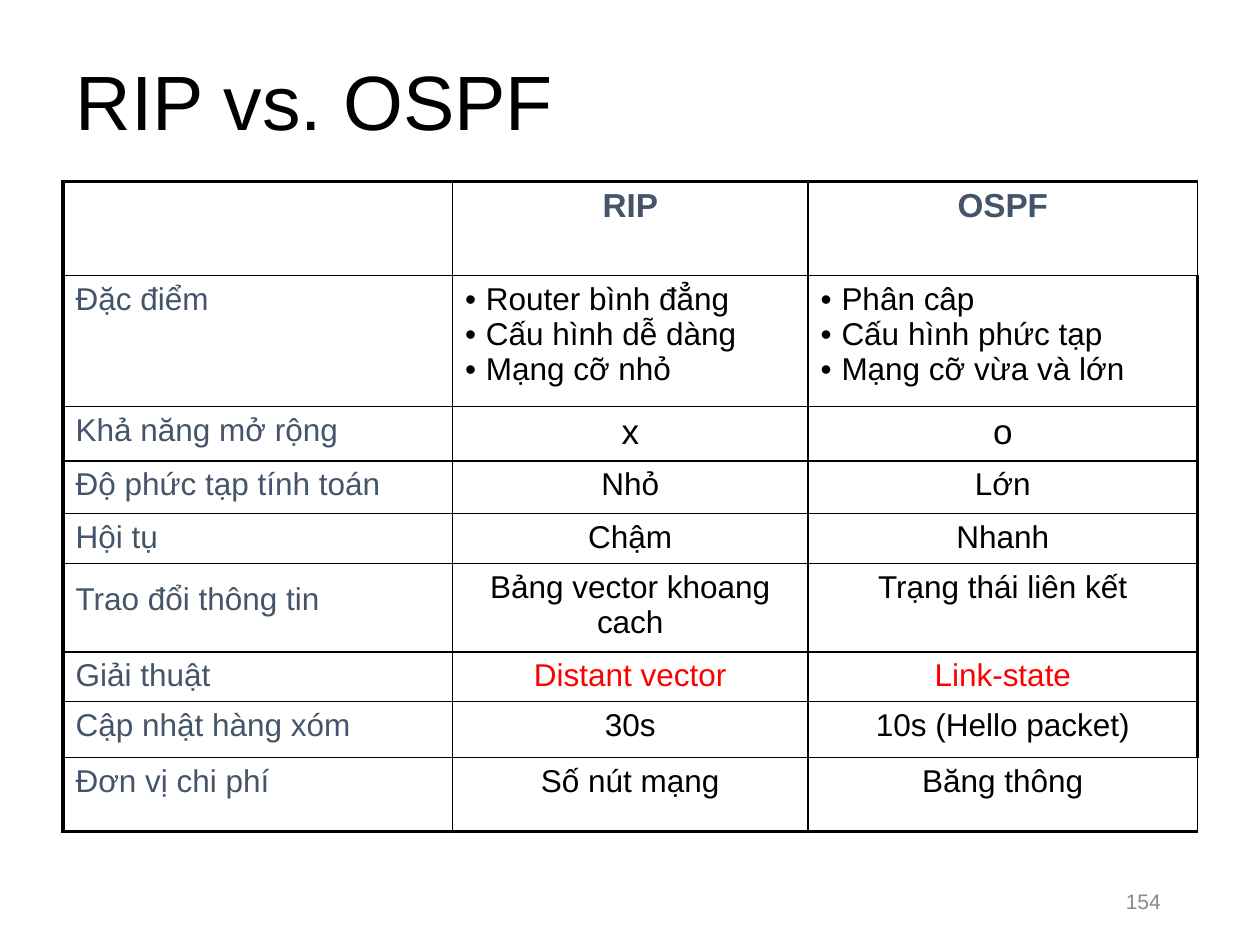
import pptx
import pptx.dml.color
import pptx.enum.text
import pptx.oxml
import pptx.oxml.ns
import pptx.util
from lxml import etree
from pptx.util import Cm, Pt

ALIGN = pptx.enum.text.PP_ALIGN
ANCHOR = pptx.enum.text.MSO_ANCHOR
BLACK, SLATE, RED, GREY = "000000", "44546A", "FF0000", "898989"
THIN, THICK = 1, 2.25

COLUMN_WIDTHS = [7.85, 7.17, 7.85]
ROW_HEIGHTS = [1.89, 2.64, 1.1, 1.06, 1.01, 1.78, 1, 1.13, 1.49]
# Row label, RIP, OSPF; a list becomes bullets
ROWS = [
    ("", "RIP", "OSPF"),
    ("Đặc điểm",
     ["Router bình đẳng", "Cấu hình dễ dàng", "Mạng cỡ nhỏ"],
     ["Phân câp", "Cấu hình phức tạp", "Mạng cỡ vừa và lớn"]),
    ("Khả năng mở rộng", "x", "o"),
    ("Độ phức tạp tính toán", "Nhỏ", "Lớn"),
    ("Hội tụ", "Chậm", "Nhanh"),
    ("Trao đổi thông tin", "Bảng vector khoang cach", "Trạng thái liên kết"),
    ("Giải thuật", "Distant vector", "Link-state"),
    ("Cập nhật hàng xóm", "30s", "10s (Hello packet)"),
    ("Đơn vị chi phí", "Số nút mạng", "Băng thông"),
]
HEADER, SCALABILITY, EXCHANGE, ALGORITHM = 0, 2, 5, 6
LAST_ROW, LAST_COL = len(ROWS) - 1, len(COLUMN_WIDTHS) - 1


def rgb(color):
    return pptx.dml.color.RGBColor.from_string(color)


def sub(parent, tag, **attributes):
    return etree.SubElement(parent, pptx.oxml.ns.qn(tag), attributes)


def add_bullet(p):
    pPr = p._p.get_or_add_pPr()
    indent = Cm(0.42)
    pPr.set("marL", str(indent))
    pPr.set("indent", str(-indent))
    sub(pPr, "a:buFont", typeface="Arial")
    sub(pPr, "a:buChar", char="•")


def write_text(tf, text, size=18, color=BLACK, bold=False, align=ALIGN.LEFT,
               spacing=None, bullets=False):
    """Fill a text frame with one paragraph per line of text."""
    for i, line in enumerate(text.split("\n")):
        p = tf.paragraphs[0] if i == 0 else tf.add_paragraph()
        p.alignment = align
        if spacing:
            p.line_spacing = spacing
        if bullets:
            add_bullet(p)
        r = p.add_run()
        r.text = line
        r.font.name = "Arial"
        r.font.size = Pt(size)
        r.font.bold = bold
        r.font.color.rgb = rgb(color)


def set_borders(cell, **widths):
    """Draw black borders, widths in points, keyed in order L, R, T, B."""
    tcPr = cell._tc.get_or_add_tcPr()
    for side, width in widths.items():
        ln = sub(tcPr, "a:ln" + side, w=str(Pt(width)))
        sub(sub(ln, "a:solidFill"), "a:srgbClr", val=BLACK)


def add_title(s, text):
    sp = s.shapes.title
    sp.left, sp.top, sp.width, sp.height = Cm(1.27), Cm(0.33), Cm(20.96), Cm(3.61)
    sp.text_frame.vertical_anchor = ANCHOR.MIDDLE
    write_text(sp.text_frame, text, size=44, spacing=0.9)


def cell_format(row, col):
    if row == HEADER:
        return dict(size=19, color=SLATE, bold=True, align=ALIGN.CENTER)
    if col == 0:
        return dict(color=SLATE)
    return dict(size=20 if row == SCALABILITY else 18,
                color=RED if row == ALGORITHM else BLACK,
                align=ALIGN.CENTER)


def fill_cell(cell, content, row, col):
    if isinstance(content, list):
        write_text(cell.text_frame, "\n".join(content), bullets=True)
    elif content:
        write_text(cell.text_frame, content, **cell_format(row, col))
    if (row, col) == (EXCHANGE, 0):
        cell.margin_top = Cm(0.38)
    thick_right = col == LAST_COL and HEADER < row < LAST_ROW
    set_borders(cell,
                L=THICK if col == 0 else THIN,
                R=THICK if thick_right else THIN,
                T=THICK if row == HEADER else THIN,
                B=THICK if row == LAST_ROW else THIN)
    cell.fill.background()


def add_comparison(s):
    frame = s.shapes.add_table(len(ROWS), len(COLUMN_WIDTHS), Cm(1.27), Cm(3.66),
                               Cm(sum(COLUMN_WIDTHS)), Cm(sum(ROW_HEIGHTS)))
    table = frame.table
    table.first_row = table.horz_banding = False
    for column, width in zip(table.columns, COLUMN_WIDTHS):
        column.width = Cm(width)
    for table_row, height in zip(table.rows, ROW_HEIGHTS):
        table_row.height = Cm(height)
    for row, contents in enumerate(ROWS):
        for col, content in enumerate(contents):
            fill_cell(table.cell(row, col), content, row, col)


def add_page_number(s, number):
    sp = s.shapes.add_textbox(Cm(17.93), Cm(17.65), Cm(5.72), Cm(1.02))
    tf = sp.text_frame
    tf.word_wrap = True
    tf.vertical_anchor = ANCHOR.MIDDLE
    write_text(tf, number, size=12, color=GREY, align=ALIGN.RIGHT)


def main():
    prs = pptx.Presentation()
    prs.slide_width, prs.slide_height = Cm(25.4), Cm(19.05)
    s = prs.slides.add_slide(prs.slide_layouts.get_by_name("Title Only"))
    add_title(s, "RIP vs. OSPF")
    add_comparison(s)
    add_page_number(s, "154")
    prs.save("out.pptx")


if __name__ == "__main__":
    main()
